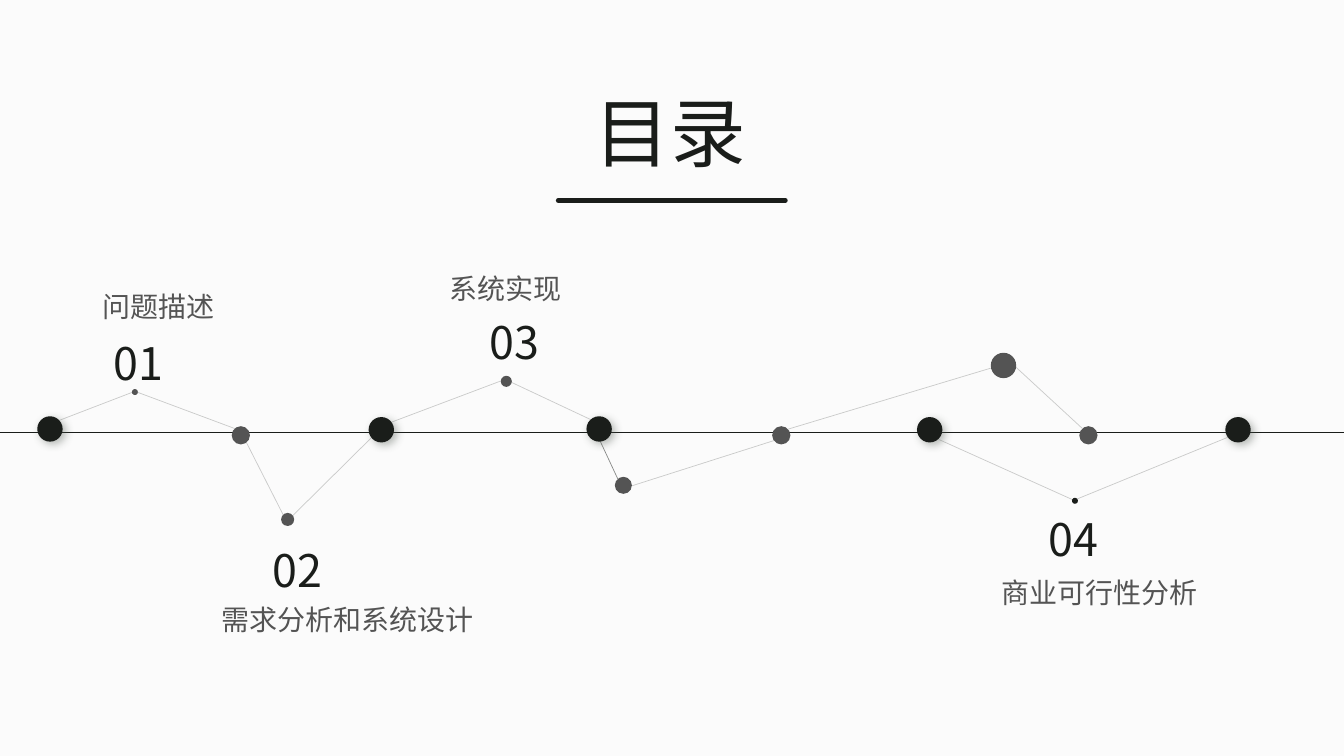
"""Build a contents slide with four sections along a dotted timeline."""
from dataclasses import dataclass

from lxml import etree
from pptx import Presentation
from pptx.dml.color import RGBColor
from pptx.enum.shapes import MSO_CONNECTOR, MSO_SHAPE
from pptx.enum.text import MSO_ANCHOR, MSO_AUTO_SIZE, PP_ALIGN
from pptx.oxml.ns import qn
from pptx.util import Cm, Pt

LEFT, CENTER = PP_ALIGN.LEFT, PP_ALIGN.CENTER
TOP = MSO_ANCHOR.TOP
NO_AUTOSIZE = MSO_AUTO_SIZE.NONE
OVAL = MSO_SHAPE.OVAL
STRAIGHT = MSO_CONNECTOR.STRAIGHT

FONT = "Noto Sans CJK SC"
COLORS = {"paper": "FBFBFB", "ink": "1A1D1A", "grey": "545454", "shadow": "505950"}
WIDTH, HEIGHT = 33.87, 19.05
AXIS_Y = 10.9
LARGE, MEDIUM, TINY = 0.64, 0.46, 0.15


@dataclass
class Dot:
    """A timeline dot given by its centre and diameter in centimetres."""
    x: float
    y: float
    size: float
    color: str = "grey"
    shadow: bool = False


@dataclass
class Link:
    """A faint line between two dots, with opacity in percent."""
    x1: float
    y1: float
    x2: float
    y2: float
    opacity: int = 21


@dataclass
class Section:
    """A numbered section with the corners of its number and label."""
    label: str
    number_x: float
    number_y: float
    label_x: float
    label_y: float
    label_width: float


DOTS = [
    *[Dot(x, y, LARGE, "ink", True) for x, y in
      [(1.26, 10.81), (9.61, 10.83), (15.1, 10.81), (23.43, 10.83), (31.2, 10.83)]],
    *[Dot(x, 10.97, MEDIUM) for x in (6.07, 19.69, 27.43)],
    Dot(3.4, 9.88, TINY),
    Dot(7.25, 13.09, 0.33),
    Dot(12.76, 9.61, 0.28),
    Dot(15.71, 12.23, 0.43),
    Dot(25.29, 9.21, LARGE),
    Dot(27.09, 12.62, TINY, "ink"),
]
LINKS = [
    Link(1.5, 10.59, 3.4, 9.86),
    Link(3.4, 9.86, 5.92, 10.8),
    Link(6.2, 11.13, 7.14, 12.98),
    Link(7.37, 13.0, 9.37, 11.02),
    Link(9.86, 10.64, 12.62, 9.6),
    Link(14.88, 10.57, 12.88, 9.63),
    Link(15.01, 10.87, 15.57, 12.07, 51),
    Link(19.51, 11.1, 15.93, 12.24),
    Link(24.99, 9.27, 19.84, 10.82),
    Link(27.28, 10.8, 25.6, 9.25),
    Link(27.05, 12.6, 23.65, 11.07),
    Link(30.94, 11.02, 27.08, 12.6),
]
SECTIONS = [
    Section("问题描述", 1.04, 8.33, 2.34, 7.16, 3.45),
    Section("需求分析和系统设计", 5.05, 13.56, 5.33, 15.06, 6.93),
    Section("系统实现", 10.52, 7.8, 11.07, 6.71, 3.35),
    Section("商业可行性分析", 24.61, 12.78, 24.99, 14.38, 5.51),
]


def rgb(name: str) -> RGBColor:
    """Return a palette colour."""
    return RGBColor.from_string(COLORS[name])


def place(sp, x: float, y: float, w: float, h: float) -> None:
    """Move and size a shape in centimetres."""
    sp.left, sp.top, sp.width, sp.height = Cm(x), Cm(y), Cm(w), Cm(h)


def write(sp, text: str, size: int, color: str, align=LEFT) -> None:
    """Fill a shape with one formatted line of text."""
    tf = sp.text_frame
    tf.word_wrap = False
    tf.auto_size = NO_AUTOSIZE
    tf.vertical_anchor = TOP
    p = tf.paragraphs[0]
    p.text = text
    p.alignment = align
    p.font.size = Pt(size)
    p.font.name = FONT
    p.font.color.rgb = rgb(color)
    props = p._p.pPr.find(qn("a:defRPr"))
    etree.SubElement(props, qn("a:ea"), typeface=FONT)


def add_text(slide, text: str, x: float, y: float, w: float, h: float,
             size: int, color: str, align=LEFT) -> None:
    """Add a text box."""
    sp = slide.shapes.add_textbox(Cm(x), Cm(y), Cm(w), Cm(h))
    write(sp, text, size, color, align)


def add_line(slide, x1: float, y1: float, x2: float, y2: float,
             width: float, opacity: int = 100, cap: str = "flat") -> None:
    """Add a straight ink line without a shadow."""
    sp = slide.shapes.add_connector(STRAIGHT, Cm(x1), Cm(y1), Cm(x2), Cm(y2))
    sp.line.width = Pt(width)
    sp.line.color.rgb = rgb("ink")
    ln = sp.line._get_or_add_ln()
    ln.set("cap", cap)
    if opacity < 100:
        color = ln.find(".//" + qn("a:srgbClr"))
        etree.SubElement(color, qn("a:alpha"), val=str(opacity * 1000))
    etree.SubElement(sp._element.spPr, qn("a:effectLst"))


def add_dot(slide, dot: Dot) -> None:
    """Add a filled circle around its centre."""
    corner = dot.x - dot.size / 2, dot.y - dot.size / 2
    sp = slide.shapes.add_shape(OVAL, *map(Cm, corner), Cm(dot.size), Cm(dot.size))
    sp.fill.solid()
    sp.fill.fore_color.rgb = rgb(dot.color)
    sp.line.fill.background()
    sp.shadow.inherit = False
    if dot.shadow:
        effects = sp._element.spPr.find(qn("a:effectLst"))
        shadow = etree.SubElement(effects, qn("a:outerShdw"), blurRad=str(Pt(6)),
                                  dist=str(Pt(3)), dir="2700000", rotWithShape="0")
        color = etree.SubElement(shadow, qn("a:srgbClr"), val=COLORS["shadow"])
        etree.SubElement(color, qn("a:alpha"), val="40000")


def main() -> None:
    """Build and save the slide."""
    prs = Presentation()
    prs.slide_width, prs.slide_height = Cm(WIDTH), Cm(HEIGHT)
    slide = prs.slides.add_slide(prs.slide_layouts[5])
    slide.background.fill.solid()
    slide.background.fill.fore_color.rgb = rgb("paper")

    title = slide.shapes.title
    place(title, 14.73, 2.03, 4.37, 2.57)
    write(title, "目录", 54, "ink")
    add_line(slide, 14.07, 5.05, 19.79, 5.05, 3.5, cap="rnd")

    add_line(slide, 0, AXIS_Y, WIDTH, AXIS_Y, 0.75)
    for link in LINKS:
        add_line(slide, link.x1, link.y1, link.x2, link.y2, 0.5, link.opacity)
    for dot in DOTS:
        add_dot(slide, dot)
    for number, s in enumerate(SECTIONS, 1):
        add_text(slide, f"{number:02}", s.number_x, s.number_y, 4.9, 1.63, 32, "ink", CENTER)
        add_text(slide, s.label, s.label_x, s.label_y, s.label_width, 1.12, 20, "grey")
    prs.save("out.pptx")


if __name__ == "__main__":
    main()
